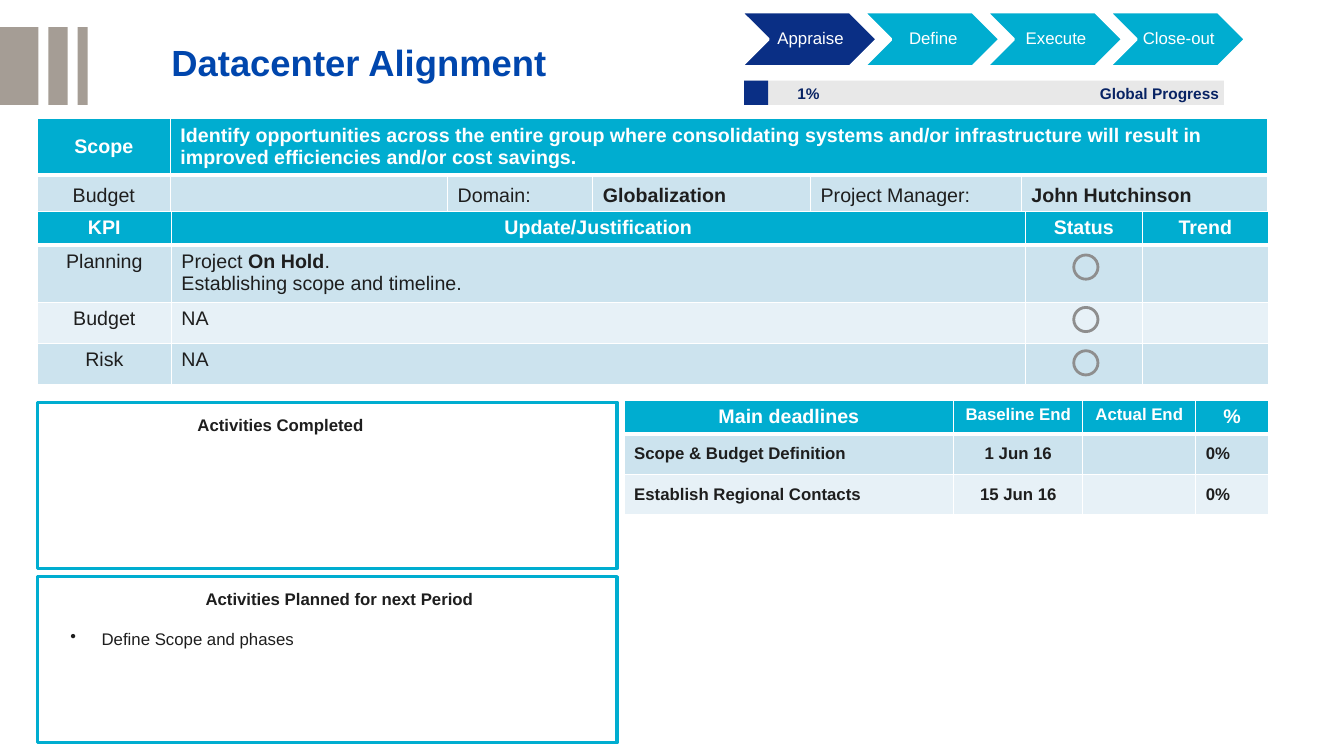
from lxml.etree import SubElement
from pptx import Presentation
from pptx.dml.color import RGBColor
from pptx.enum.shapes import MSO_SHAPE as Preset
from pptx.enum.text import MSO_ANCHOR as Anchor, PP_ALIGN as Align
from pptx.oxml.ns import qn
from pptx.util import Emu, Inches, Pt

CELL = Inches(0.1)  # the slide is a grid of square cells
COLUMNS, ROWS = 133.3, 75
COLORS = {
    "white": "FFFFFF", "ink": "1E1E1E", "title": "0046AD", "navy": "0A2F85",
    "progress": "082364", "cyan": "00ADD0", "band": "CCE3EE",
    "light band": "E7F1F7", "track": "E8E8E8", "taupe": "A59D95", "ring": "8E8E8E",
}
LEFT, CENTER = Align.LEFT, Align.CENTER
TOP, MIDDLE = Anchor.TOP, Anchor.MIDDLE


def color(name):
    return RGBColor.from_string(COLORS[name])


def grid(*counts):
    return [Emu(round(count * CELL)) for count in counts]


def write(frame, lines, align=LEFT, spacing=None, bullet=None, **font):
    """Fill a text frame; a line is a string or a list of (text, bold) runs."""
    look = {"name": "Arial", "size": 12, "bold": False, "color": "ink"} | font
    for index, line in enumerate(lines):
        paragraph = frame.paragraphs[0] if index == 0 else frame.add_paragraph()
        paragraph.alignment = align
        if spacing:
            paragraph.line_spacing = spacing
        if bullet:
            properties = paragraph._p.get_or_add_pPr()
            indent = Inches(0.31)
            properties.set("marL", str(indent))
            properties.set("indent", str(-indent))
            SubElement(properties, qn("a:buChar"), char=bullet)
        for text, bold in [(line, look["bold"])] if isinstance(line, str) else line:
            run = paragraph.add_run()
            run.text = text
            formats = {"name": look["name"], "size": Pt(look["size"]), "bold": bold}
            for attribute, value in formats.items():
                setattr(run.font, attribute, value)
            run.font.color.rgb = color(look["color"])


def add_label(slide, box, text, margin=None, anchor=TOP, **look):
    frame = slide.shapes.add_textbox(*grid(*box)).text_frame
    formats = {"word_wrap": True, "vertical_anchor": anchor}
    if margin is not None:
        formats |= {f"margin_{side}": margin for side in ("left", "top", "right", "bottom")}
    for attribute, value in formats.items():
        setattr(frame, attribute, value)
    write(frame, [text], **look)


def add_block(slide, box, fill=None, line=None, width=1, preset=Preset.RECTANGLE):
    block = slide.shapes.add_shape(preset, *grid(*box))
    block.shadow.inherit = False
    if fill:
        block.fill.solid()
        block.fill.fore_color.rgb = color(fill)
    else:
        block.fill.background()
    if line:
        block.line.color.rgb = color(line)
        block.line.width = Pt(width)
    else:
        block.line.fill.background()
    return block


def add_phase(slide, box, name, fill):
    frame = add_block(slide, box, fill, "white", 2, Preset.CHEVRON).text_frame
    formats = {"word_wrap": False, "vertical_anchor": MIDDLE, "margin_left": Inches(0.05),
               "margin_top": Inches(0.02), "margin_right": Inches(0.02),
               "margin_bottom": Inches(0.02)}
    for attribute, value in formats.items():
        setattr(frame, attribute, value)
    write(frame, [name], align=CENTER, spacing=0.9, color="white")


def set_borders(cell, heavy_top, heavy_bottom):
    widths = {"L": 1, "R": 1, "T": 3 if heavy_top else 1, "B": 3 if heavy_bottom else 1}
    properties = cell._tc.get_or_add_tcPr()
    for side, width in widths.items():
        border = SubElement(properties, qn(f"a:ln{side}"), w=str(Pt(width)))
        fill = SubElement(border, qn("a:solidFill"))
        SubElement(fill, qn("a:srgbClr"), val=COLORS["white"])


def add_grid_table(slide, corner, columns, rows, content, header_aligns, body_aligns,
                   header_sizes, body_size, bold_columns=(), anchors=(TOP, TOP)):
    """Table with a cyan header row over banded rows; content holds lists of lines."""
    size = (sum(columns), sum(rows))
    table = slide.shapes.add_table(len(rows), len(columns), *grid(*corner, *size)).table
    for column, width in zip(table.columns, grid(*columns)):
        column.width = width
    for row, height in zip(table.rows, grid(*rows)):
        row.height = height
    for r, record in enumerate(content):
        header = r == 0
        for c, lines in enumerate(record):
            cell = table.cell(r, c)
            set_borders(cell, r == 1, header)
            cell.fill.solid()
            fill = "cyan" if header else "band" if r % 2 else "light band"
            cell.fill.fore_color.rgb = color(fill)
            cell.vertical_anchor = anchors[0 if header else 1]
            write(cell.text_frame, lines,
                  align=(header_aligns if header else body_aligns)[c],
                  size=header_sizes[c] if header else body_size,
                  bold=header or c in bold_columns,
                  color="white" if header else "ink")
    return table


def add_header(slide):
    for left, width in ((0, 3.8), (4.8, 1.9), (7.7, 1)):
        add_block(slide, (left, 2.7, width, 7.7), "taupe")
    add_label(slide, (17, 2.6, 113.6, 7.6), "Datacenter Alignment", margin=0,
              anchor=MIDDLE, spacing=0.9, size=26, bold=True, color="title")
    for index, phase in enumerate(("Appraise", "Define", "Execute", "Close-out")):
        add_phase(slide, (73.5 + 12.17 * index, 1.2, 13.5, 5.4), phase,
                  "cyan" if index else "navy")
    add_block(slide, (73.8, 8, 47.6, 2.4), "track")
    add_block(slide, (73.8, 8, 2.4, 2.4), "navy")
    for left, width, text in ((78.1, 7.5, "1%"), (108.1, 14.4, "Global Progress")):
        add_label(slide, (left, 7.85, width, 2.9), text, size=11, bold=True, color="progress")


def add_project_tables(slide):
    scope = ("Identify opportunities across the entire group where consolidating systems "
             "and/or infrastructure will result in improved efficiencies and/or cost savings.")
    centred_first = [CENTER] + [LEFT] * 5
    charter = add_grid_table(
        slide, (3.7, 11.7), (13.2, 27.5, 14.4, 21.6, 20.9, 24.4), (5.5, 3.7),
        [[["Scope"], [scope], [""], [""], [""], [""]],
         [["Budget"], [""], ["Domain:"], ["Globalization"], ["Project Manager:"],
          ["John Hutchinson"]]],
        centred_first, centred_first, [14] * 6, 14, (3, 5), (MIDDLE, MIDDLE))
    charter.cell(0, 1).merge(charter.cell(0, 5))

    planning = [[("Project ", False), ("On Hold", True), (".", False)],
                "Establishing scope and timeline."]
    add_grid_table(
        slide, (3.7, 21), (13.3, 84.7, 11.6, 12.5), (3.3, 5.7, 4.05, 4.05),
        [[["KPI"], ["Update/Justification"], ["Status"], ["Trend"]],
         [["Planning"], planning, [""], [""]],
         [["Budget"], ["NA"], [""], [""]],
         [["Risk"], ["NA"], [""], [""]]],
        [CENTER] * 4, [CENTER, LEFT, CENTER, CENTER], [14] * 4, 14)
    for top in (25.3, 30.5, 34.8):
        add_block(slide, (106.5, top, 2.4, 2.4), line="ring", width=2, preset=Preset.OVAL)

    add_grid_table(
        slide, (61.9, 39.7), (32.7, 12.8, 11.2, 7.2), (3.3, 3.8, 3.8),
        [[["Main deadlines"], ["Baseline End"], ["Actual End"], ["%"]],
         [["Scope & Budget Definition"], ["1 Jun 16"], [""], ["0%"]],
         [["Establish Regional Contacts"], ["15 Jun 16"], [""], ["0%"]]],
        [CENTER] * 4, [LEFT, CENTER, CENTER, LEFT], [14, 12, 12, 14], 12,
        range(4), (TOP, MIDDLE))


def add_activities(slide):
    panels = ((39.9, 18.6, 26.8, "Activities Completed"),
              (57.2, 19.4, 30.7, "Activities Planned for next Period"))
    for top, left, width, heading in panels:
        add_block(slide, (3.7, top, 57.5, 16.5), "white", "cyan", 2.25)
        add_label(slide, (left, top + 0.75, width, 3), heading, bold=True)
    add_label(slide, (6, 61.9, 53.5, 3), "Define Scope and phases", bullet="•")


def main():
    deck = Presentation()
    deck.slide_width, deck.slide_height = grid(COLUMNS, ROWS)
    slide = deck.slides.add_slide(deck.slide_layouts[6])
    add_header(slide)
    add_project_tables(slide)
    add_activities(slide)
    deck.save("out.pptx")


if __name__ == "__main__":
    main()
